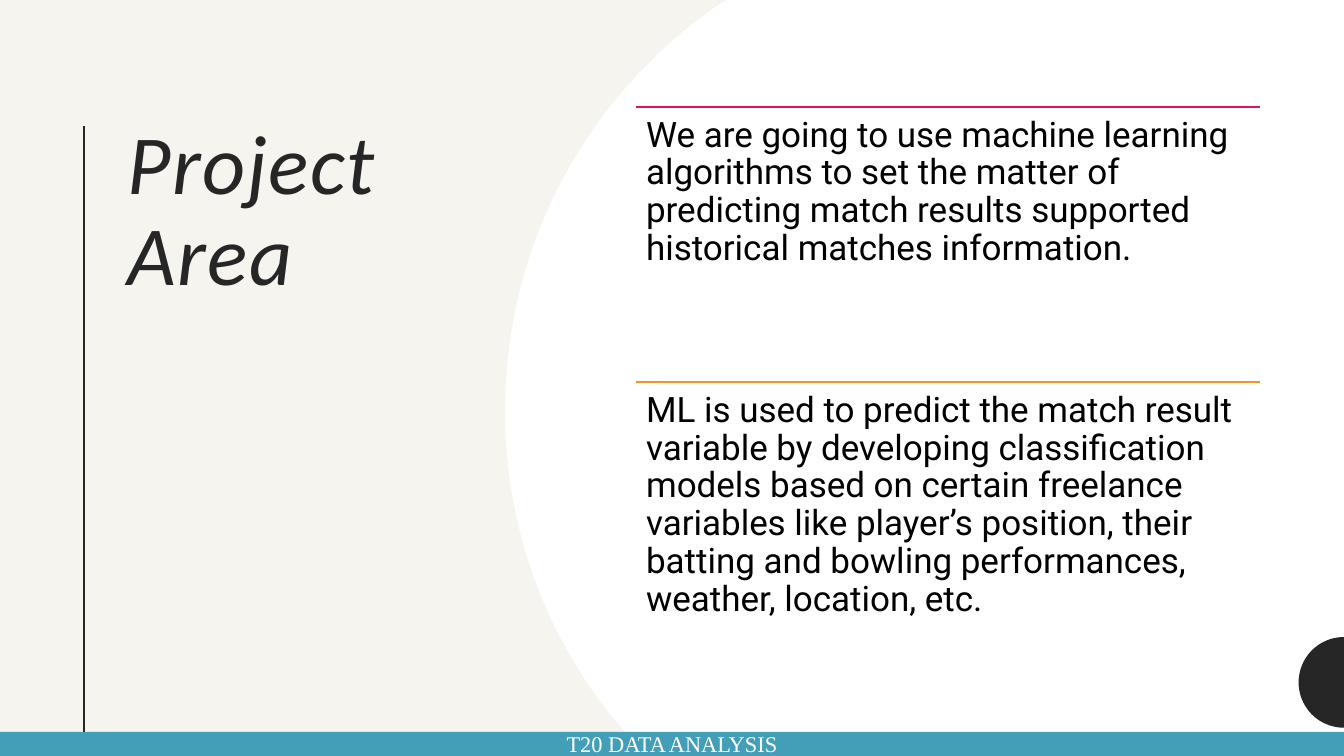
from math import cos, pi, sin

from pptx import Presentation
from pptx.dml.color import RGBColor
from pptx.enum.shapes import MSO_CONNECTOR, MSO_SHAPE
from pptx.enum.text import MSO_ANCHOR, PP_ALIGN
from pptx.oxml.ns import qn
from pptx.util import Inches, Pt

CREAM = RGBColor(0xF6, 0xF4, 0xEF)
DARK = RGBColor(0x26, 0x26, 0x26)
WHITE = RGBColor(0xFF, 0xFF, 0xFF)
BLACK = RGBColor(0x00, 0x00, 0x00)
PINK = RGBColor(0xE2, 0x0E, 0x65)
ORANGE = RGBColor(0xF5, 0x93, 0x24)
TEAL = RGBColor(0x43, 0x9E, 0xB7)

WIDTH, HEIGHT = 13.33, 7.5
STEPS = 40

STATEMENTS = [
    (PINK, "We are going to use machine learning algorithms to set the matter of "
           "predicting match results supported historical matches information."),
    (ORANGE, "ML is used to predict the match result variable by developing "
             "classification models based on certain freelance variables like "
             "player’s position, their batting and bowling performances, weather, "
             "location, etc."),
]


def bezier(start, control1, control2, end):
    """Points along a cubic curve, both ends included."""
    points = []
    for step in range(STEPS + 1):
        t = step / STEPS
        weights = ((1 - t) ** 3, 3 * t * (1 - t) ** 2, 3 * t * t * (1 - t), t ** 3)
        corners = (start, control1, control2, end)
        points.append(tuple(sum(w * c[axis] for w, c in zip(weights, corners))
                            for axis in (0, 1)))
    return points


class SlideBuilder:
    def __init__(self, slide):
        self.slide = slide
        self.shapes = slide.shapes

    def background(self, color):
        fill = self.slide.background.fill
        fill.solid()
        fill.fore_color.rgb = color

    def paint(self, shape, color):
        shape.shadow.inherit = False
        shape.fill.solid()
        shape.fill.fore_color.rgb = color
        shape.line.fill.background()
        return shape

    def bar(self, left, top, width, height, color):
        bar = self.shapes.add_shape(MSO_SHAPE.RECTANGLE, Inches(left), Inches(top),
                                    Inches(width), Inches(height))
        return self.paint(bar, color)

    def outline(self, points, color):
        corners = [(Inches(x), Inches(y)) for x, y in points]
        builder = self.shapes.build_freeform(*corners[0], scale=1.0)
        builder.add_line_segments(corners[1:], close=True)
        return self.paint(builder.convert_to_shape(), color)

    def rule(self, start, end, color, weight):
        rule = self.shapes.add_connector(MSO_CONNECTOR.STRAIGHT,
                                         *map(Inches, start + end))
        rule.line.color.rgb = color
        rule.line.width = Pt(weight)
        properties = rule._element.spPr
        properties.append(properties.makeelement(qn("a:effectLst"), {}))

    def text(self, left, top, width, height, words, font, size, color, inset=0.05):
        box = self.shapes.add_textbox(Inches(left), Inches(top),
                                      Inches(width), Inches(height))
        frame = box.text_frame
        frame.word_wrap = True
        frame.margin_left = frame.margin_right = Inches(0.1)
        frame.margin_top = frame.margin_bottom = Inches(inset)
        paragraph = self.set_words(frame, words, font, size, color)
        paragraph.line_spacing = 0.9
        return paragraph

    def set_words(self, frame, words, font, size, color):
        paragraph = frame.paragraphs[0]
        paragraph.text = words
        paragraph.font.name = font
        paragraph.font.size = Pt(size)
        paragraph.font.color.rgb = color
        return paragraph


def main():
    deck = Presentation()
    deck.slide_width, deck.slide_height = Inches(WIDTH), Inches(HEIGHT)
    page = SlideBuilder(deck.slides.add_slide(deck.slide_layouts[6]))
    page.background(CREAM)

    # Title with its vertical rule
    title = page.text(1.17, 1.16, 3.41, 5.26, "Project Area", "Calibri", 60, DARK)
    title.font.italic = True
    title.runs[0]._r.get_or_add_rPr().set("spc", "100")
    page.rule((0.83, 1.25), (0.83, HEIGHT), DARK, 1.5)

    # White panel with a rounded left edge
    left_edge = (bezier((6.11, 7.16), (5.42, 6.32), (5.01, 5.25), (5.01, 4.07))
                 + bezier((5.01, 4.07), (5.01, 2.4), (5.85, 0.92), (7.14, 0.04))[1:])
    page.outline([(7.21, 0), (WIDTH, 0), (WIDTH, HEIGHT), (6.42, HEIGHT)] + left_edge,
                 WHITE)

    # Dark half disc at the right edge
    radius, center_y = 0.45, 6.77
    angles = [pi * step / STEPS for step in range(STEPS + 1)]
    page.outline([(WIDTH - radius * sin(a), center_y - radius * cos(a)) for a in angles],
                 DARK)

    # Statements, each under a coloured rule
    left, width, pitch = 6.31, 6.19, 2.73
    for index, (color, statement) in enumerate(STATEMENTS):
        top = 1.06 + index * pitch
        page.rule((left, top), (left + width, top), color, 1)
        page.text(left, top, width, 2.72, statement, "Roboto", 25, BLACK, inset=0.1)

    # Footer
    footer = page.bar(0, 7.26, WIDTH, 0.24, TEAL).text_frame
    footer.vertical_anchor = MSO_ANCHOR.MIDDLE
    caption = page.set_words(footer, "T20 DATA ANALYSIS", "Times New Roman", 16, WHITE)
    caption.alignment = PP_ALIGN.CENTER

    deck.save("out.pptx")


if __name__ == "__main__":
    main()
